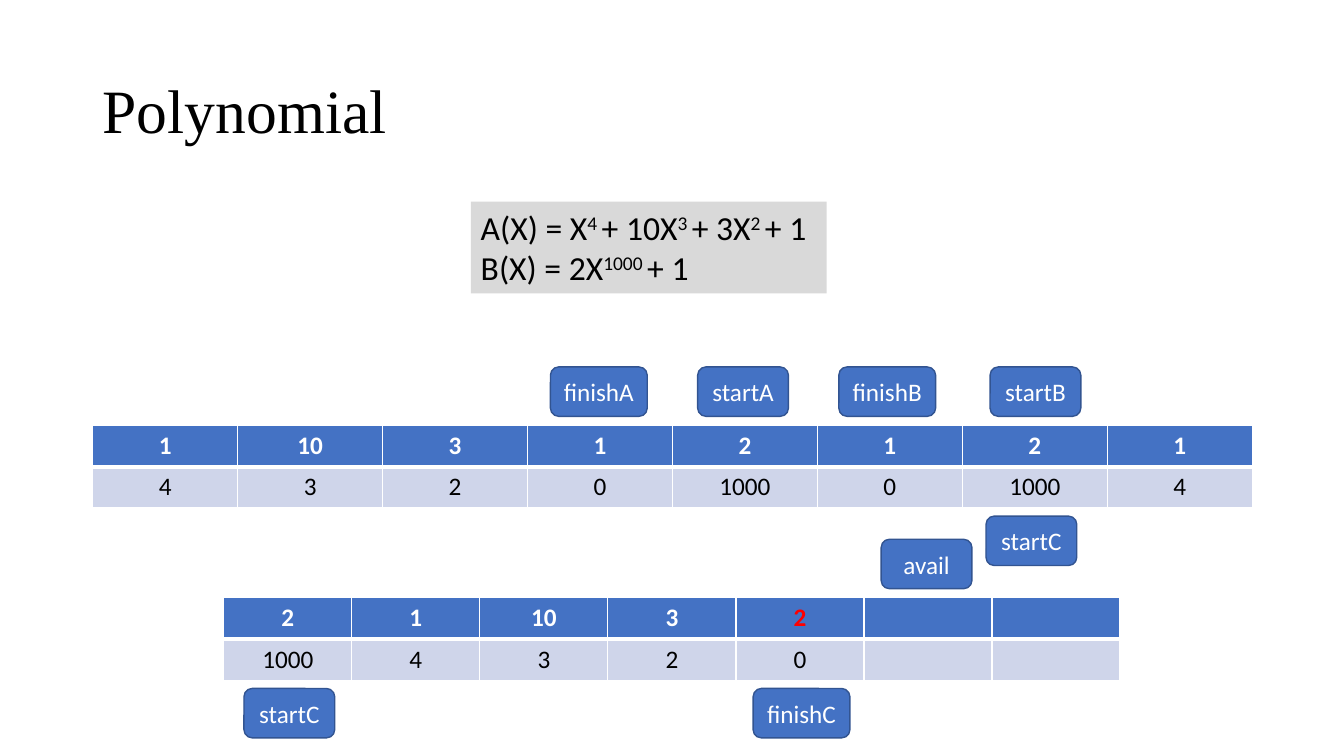
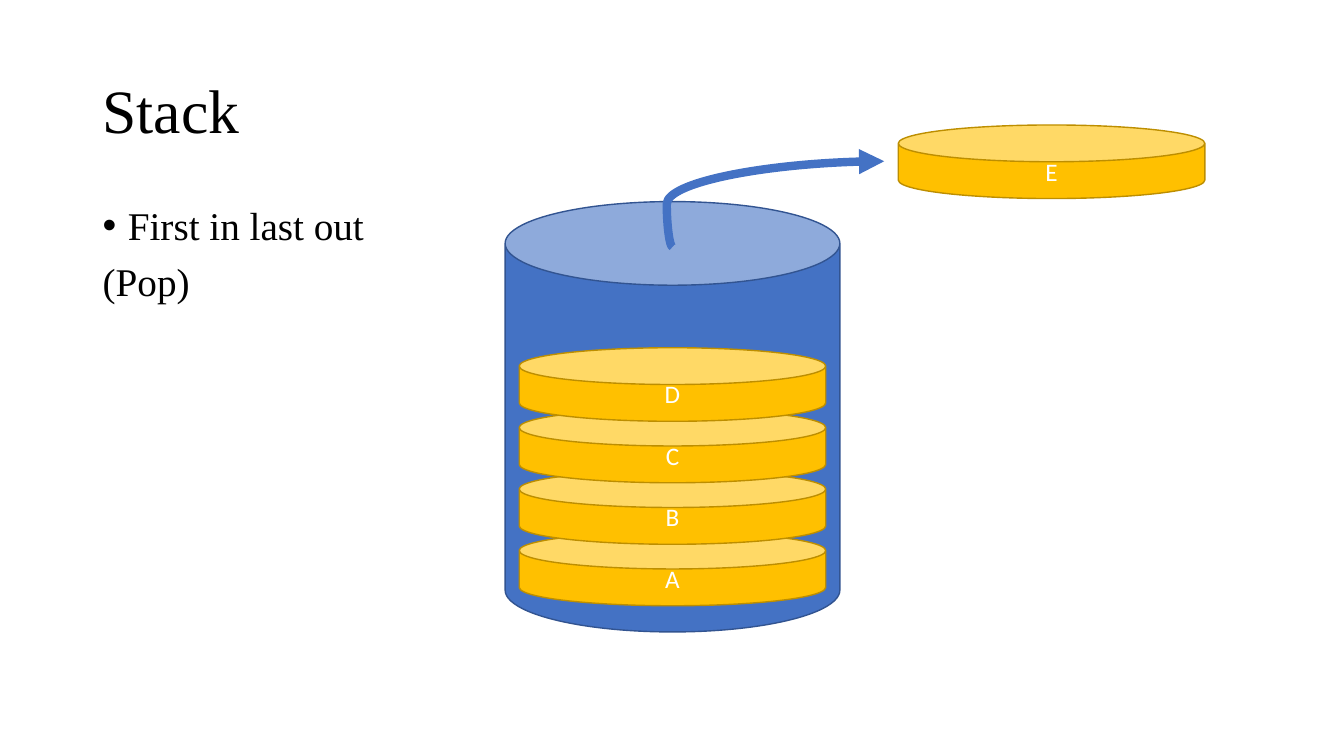
from dataclasses import dataclass

from lxml.etree import SubElement as Sub
from pptx import Presentation
from pptx.dml.color import RGBColor as RGB
from pptx.enum.shapes import MSO_CONNECTOR as LINK, MSO_SHAPE as SHAPE
from pptx.enum.text import MSO_ANCHOR as ANCHOR, PP_ALIGN as ALIGN
from pptx.oxml.ns import qn
from pptx.util import Inches, Pt


@dataclass(frozen=True)
class Theme:
    blue: str = "4472C4"
    navy: str = "325491"
    pale: str = "CFD5EA"
    gray: str = "D9D9D9"
    gold: str = "FFC000"
    brown: str = "BD8E00"
    white: str = "FFFFFF"
    black: str = "000000"
    red: str = "FF0000"
    serif: str = "Times New Roman"
    sans: str = "Calibri"
    title: int = 44
    body: int = 28
    math: int = 24
    label: int = 18


T = Theme()

# Each formula is a list of (text, raised) runs.
SUMS = [
    [("A(X) = X", False), ("4 ", True), ("+ 10X", False), ("3 ", True),
     ("+ 3X", False), ("2 ", True), ("+ 1", False)],
    [("B(X) = 2X", False), ("1000 ", True), ("+ 1", False)],
]
# Each table: left, top, width, rows, red cells.
TABLES = [
    (0.92, 4.22, 11.5, [["1", "10", "3", "1", "2", "1", "2", "1"],
                        ["4", "3", "2", "0", "1000", "0", "1000", "4"]], []),
    (2.22, 5.93, 8.89, [["2", "1", "10", "3", "2", "", ""],
                        ["1000", "4", "3", "2", "0", "", ""]], [(0, 4)]),
]
# Tag rows: top, then (left, name).
TAGS = [
    (3.64, [(6.92, "startA"), (5.46, "finishA"),
            (9.82, "startB"), (8.32, "finishB")]),
    (5.35, [(8.74, "avail")]),
    (5.12, [(9.78, "startC")]),
    (6.83, [(2.42, "startC"), (7.47, "finishC")]),
]
POINTS = [("First in last out", True), ("(Pop)", False)]
STACK = "ABCD"
POPPED = "E"
ROW = 0.41
STEP = 0.61


def box(*sides):
    return [Inches(n) for n in sides]


def write(para, text, size, color, font=T.sans, bold=False):
    run = para.add_run()
    run.text = text
    run.font.size, run.font.name, run.font.bold = Pt(size), font, bold
    run.font.color.rgb = RGB.from_string(color)
    return run


def paint(item, color):
    item.fill.solid()
    item.fill.fore_color.rgb = RGB.from_string(color)


def start(deck, title):
    slide = deck.slides.add_slide(deck.slide_layouts[6])
    frame = slide.shapes.add_textbox(*box(0.92, 0.4, 11.5, 1.45)).text_frame
    frame.word_wrap = True
    frame.vertical_anchor = ANCHOR.MIDDLE
    para = frame.paragraphs[0]
    para.line_spacing = 0.9
    write(para, title, T.title, T.black, T.serif)
    return slide


def solid(slide, kind, place, fill, edge, text=""):
    """Add a filled, outlined shape with a centred white label."""
    item = slide.shapes.add_shape(kind, *box(*place))
    item.shadow.inherit = False
    paint(item, fill)
    item.line.color.rgb = RGB.from_string(edge)
    item.line.width = Pt(1)
    if text:
        frame = item.text_frame
        frame.vertical_anchor = ANCHOR.MIDDLE
        frame.paragraphs[0].alignment = ALIGN.CENTER
        write(frame.paragraphs[0], text, T.label, T.white)
    return item


def border(cell, **widths):
    props = cell._tc.get_or_add_tcPr()
    for side in "LRTB":
        line = Sub(props, qn(f"a:ln{side}"), w=str(Pt(widths.get(side, 1))))
        Sub(Sub(line, qn("a:solidFill")), qn("a:srgbClr"), val=T.white)


def grid(slide, left, top, width, rows, reds):
    count = len(rows[0])
    table = slide.shapes.add_table(
        len(rows), count, *box(left, top, width, ROW * len(rows))).table
    for col in table.columns:
        col.width = Inches(width / count)
    for r, row in enumerate(rows):
        head = r == 0
        for c, text in enumerate(row):
            cell = table.cell(r, c)
            border(cell, **({"B": 3} if head else {"T": 3}))
            paint(cell, T.blue if head else T.pale)
            if text:
                para = cell.text_frame.paragraphs[0]
                para.alignment = ALIGN.CENTER
                color = T.white if head else T.black
                write(para, text, T.label,
                      T.red if (r, c) in reds else color, bold=head)


def formulas(slide):
    item = slide.shapes.add_textbox(*box(4.67, 2, 3.53, 0.91))
    paint(item, T.gray)
    frame = item.text_frame
    frame.word_wrap = False
    for i, runs in enumerate(SUMS):
        para = frame.add_paragraph() if i else frame.paragraphs[0]
        for text, raised in runs:
            run = write(para, text, T.math, T.black)
            if raised:
                run._r.get_or_add_rPr().set("baseline", "30000")


def points(slide):
    frame = slide.shapes.add_textbox(*box(0.92, 2, 11.5, 4.76)).text_frame
    frame.word_wrap = True
    for i, (text, dot) in enumerate(POINTS):
        para = frame.add_paragraph() if i else frame.paragraphs[0]
        para.line_spacing = 0.9
        if i:
            para.space_before = Pt(10)
        if dot:
            props = para._p.get_or_add_pPr()
            props.set("marL", str(Inches(0.25)))
            props.set("indent", str(Inches(-0.25)))
            Sub(props, qn("a:buFont"), typeface="Arial")
            Sub(props, qn("a:buChar"), char="•")
        write(para, text, T.body, T.black, T.serif)


def disc(slide, left, top, text):
    item = solid(slide, SHAPE.CAN, (left, top, 3.04, 0.73),
                 T.gold, T.brown, text)
    item.adjustments[0] = 0.5


def arrow(slide):
    link = slide.shapes.add_connector(LINK.CURVE, *box(6.67, 2.45, 8.77, 1.6))
    link.line.color.rgb = RGB.from_string(T.blue)
    link.line.width = Pt(6)
    props = link._element.spPr
    Sub(props.find(qn("a:ln")), qn("a:tailEnd"), type="triangle")
    Sub(props, qn("a:effectLst"))
    bend = props.find(qn("a:prstGeom")).get_or_add_avLst()
    Sub(bend, qn("a:gd"), name="adj1", fmla="val -2700")


def polynomial(deck):
    slide = start(deck, "Polynomial")
    for spot in TABLES:
        grid(slide, *spot)
    for top, tags in TAGS:
        for left, name in tags:
            width = 0.96 if name.startswith("finish") else 0.9
            tag = solid(slide, SHAPE.ROUNDED_RECTANGLE,
                        (left, top, width, 0.49), T.blue, T.navy, name)
            tag.text_frame.word_wrap = False
    formulas(slide)


def stack(deck):
    slide = start(deck, "Stack")
    points(slide)
    solid(slide, SHAPE.CAN, (5.01, 2, 3.32, 4.27), T.blue, T.navy)
    for i, name in enumerate(STACK):
        disc(slide, 5.15, 5.28 - i * STEP, name)
    disc(slide, 8.91, 1.24, POPPED)
    arrow(slide)


def main():
    deck = Presentation()
    deck.slide_width, deck.slide_height = box(13.33, 7.5)
    polynomial(deck)
    stack(deck)
    deck.save("out.pptx")


if __name__ == "__main__":
    main()
